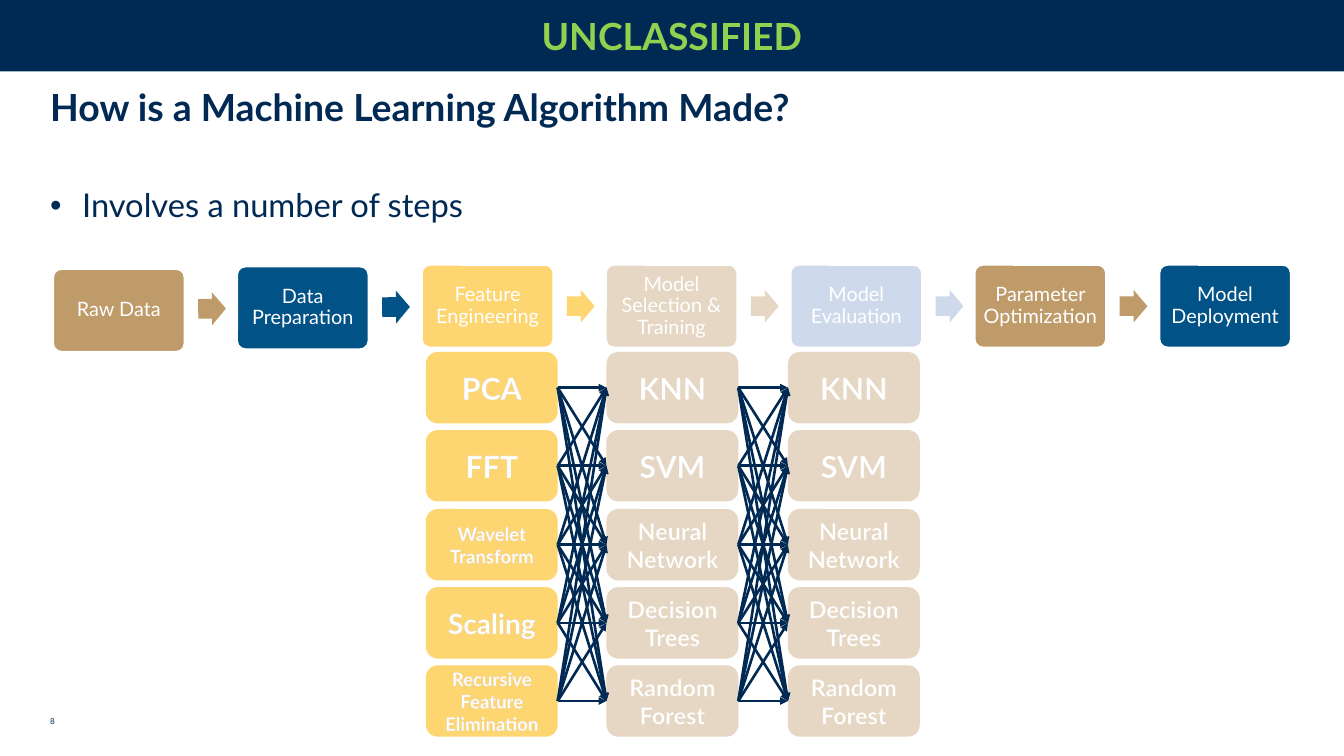
from dataclasses import dataclass
from itertools import product

from lxml import etree
from pptx import Presentation
from pptx.dml.color import RGBColor
from pptx.enum import shapes, text
from pptx.oxml.ns import qn
from pptx.util import Emu, Pt

PX = 9144  # 100 px to the inch


@dataclass(frozen=True)
class Theme:
    font: str = "Lato"
    navy: str = "002A54"
    blue: str = "005287"
    pale_blue: str = "CEDAEB"
    tan: str = "BE9B69"
    sand: str = "E5D7C3"
    yellow: str = "FDD571"
    green: str = "92D050"
    white: str = "FFFFFF"
    heading: int = 32
    body: int = 28
    step: int = 17
    page: int = 7


THEME = Theme()

# label, fill, top, arrow top, arrow rotation
STEPS = [
    ("Raw Data", THEME.tan, 320, 348, 359.3),
    ("Data Preparation", THEME.blue, 317, 346, 359.4),
    ("Feature Engineering", THEME.yellow, 315, 345, 0),
    ("Model Selection & Training", THEME.sand, 315, 345, 0),
    ("Model Evaluation", THEME.pale_blue, 315, 345, 0),
    ("Parameter Optimization", THEME.tan, 315, 345, 0),
    ("Model Deployment", THEME.blue, 315, 345, 0),
]
FEATURES = [("PCA", 26), ("FFT", 26), ("Wavelet Transform", 16), ("Scaling", 24),
            ("Recursive Feature Elimination", 16)]
MODELS = [("KNN", 26), ("SVM", 26), ("Neural Network", 20), ("Decision Trees", 20),
          ("Random Forest", 20)]
COLUMNS = [(FEATURES, THEME.yellow), (MODELS, THEME.sand), (MODELS, THEME.sand)]


def px(*lengths):
    return [Emu(length * PX) for length in lengths]


def rgb(colour):
    return RGBColor.from_string(colour)


def style_text(paragraph, size, colour, bold=False):
    for run in paragraph.runs:
        run.font.name = THEME.font
        run.font.size = Pt(size)
        run.font.bold = bold
        run.font.color.rgb = rgb(colour)


def outline_text(paragraph, colour):
    for run in paragraph.runs:
        outline = etree.Element(qn("a:ln"), w=str(Pt(0.8)))
        fill = etree.SubElement(outline, qn("a:solidFill"))
        etree.SubElement(fill, qn("a:srgbClr"), val=colour)
        run.font._element.insert(0, outline)


def add_block(slide, kind, box, fill, border=None):
    block = slide.shapes.add_shape(kind, *px(*box))
    block.shadow.inherit = False
    block.fill.solid()
    block.fill.fore_color.rgb = rgb(fill)
    if border:
        block.line.color.rgb = rgb(border)
        block.line.width = Pt(2)
    else:
        block.line.fill.background()
    return block


def label_block(block, wording, size, colour, bold=False):
    frame = block.text_frame
    frame.word_wrap = True
    frame.vertical_anchor = text.MSO_ANCHOR.MIDDLE
    frame.text = wording
    label = frame.paragraphs[0]
    label.alignment = text.PP_ALIGN.CENTER
    style_text(label, size, colour, bold)
    return label


def add_text(slide, box, wording, size, bold=False, inset=5, bullet=False):
    frame = slide.shapes.add_textbox(*px(*box)).text_frame
    frame.word_wrap = True
    frame.margin_top, frame.margin_bottom = px(inset, inset)
    frame.text = wording
    line = frame.paragraphs[0]
    if bullet:
        properties = line._p.get_or_add_pPr()
        indent = 38 * PX
        properties.set("marL", str(indent))
        properties.set("indent", str(-indent))
        etree.SubElement(properties, qn("a:buFont"), typeface="Arial")
        etree.SubElement(properties, qn("a:buChar"), char="•")
        line.line_spacing = 0.9
    style_text(line, size, THEME.navy, bold)


def add_process(slide):
    for index, (wording, fill, top, arrow_top, rotation) in enumerate(STEPS):
        left = 63 + index * 1317 // 6
        step = add_block(slide, shapes.MSO_SHAPE.ROUNDED_RECTANGLE,
                         (left, top, 157, 99), fill, THEME.white)
        step.adjustments[0] = 0.1
        label = label_block(step, wording, THEME.step, THEME.white)
        label.line_spacing = 0.9
        frame = step.text_frame
        frame.margin_left, frame.margin_right = px(6, 6)
        frame.margin_top, frame.margin_bottom = px(7, 7)
        if index < len(STEPS) - 1:
            arrow = add_block(slide, shapes.MSO_SHAPE.RIGHT_ARROW,
                              (left + 173, arrow_top, 33, 39), fill)
            arrow.adjustments[0] = 0.6
            arrow.adjustments[1] = 0.5
            arrow.rotation = rotation


def add_column(slide, left, options, fill):
    column = []
    for row, (wording, size) in enumerate(options):
        option = add_block(slide, shapes.MSO_SHAPE.ROUNDED_RECTANGLE,
                           (left, 419 + round(93.3 * row), 157, 85), fill)
        label = label_block(option, wording, size, THEME.white, bold=True)
        outline_text(label, THEME.sand)
        column.append(option)
    return column


def add_link(slide, source, target):
    link = slide.shapes.add_connector(shapes.MSO_CONNECTOR.STRAIGHT, 0, 0, 0, 0)
    link.begin_connect(source, 3)
    link.end_connect(target, 1)
    link.line.color.rgb = rgb(THEME.navy)
    link.line.width = Pt(2.25)
    etree.SubElement(link.line._get_or_add_ln(), qn("a:tailEnd"), type="triangle")
    etree.SubElement(link._element.spPr, qn("a:effectLst"))


def main():
    deck = Presentation()
    deck.slide_width, deck.slide_height = px(1600, 900)
    slide = deck.slides.add_slide(deck.slide_layouts[6])

    # Banner, page number and headings
    banner = add_block(slide, shapes.MSO_SHAPE.RECTANGLE, (0, 0, 1600, 85), THEME.navy)
    label_block(banner, "UNCLASSIFIED", THEME.heading, THEME.green, bold=True)
    add_text(slide, (50, 848, 193, 22), "8", THEME.page)
    add_text(slide, (50, 221, 1500, 80), "Involves a number of steps", THEME.body, bullet=True)
    add_text(slide, (50, 100, 1500, 103), "How is a Machine Learning Algorithm Made?",
             THEME.heading, bold=True, inset=0)

    # Process steps
    add_process(slide)

    # Option columns, each fully linked to the one before
    previous = []
    for index, (options, fill) in enumerate(COLUMNS):
        column = add_column(slide, 507 + index * 431 // 2, options, fill)
        for source, target in product(previous, column):
            add_link(slide, source, target)
        previous = column

    deck.save("out.pptx")


if __name__ == "__main__":
    main()
